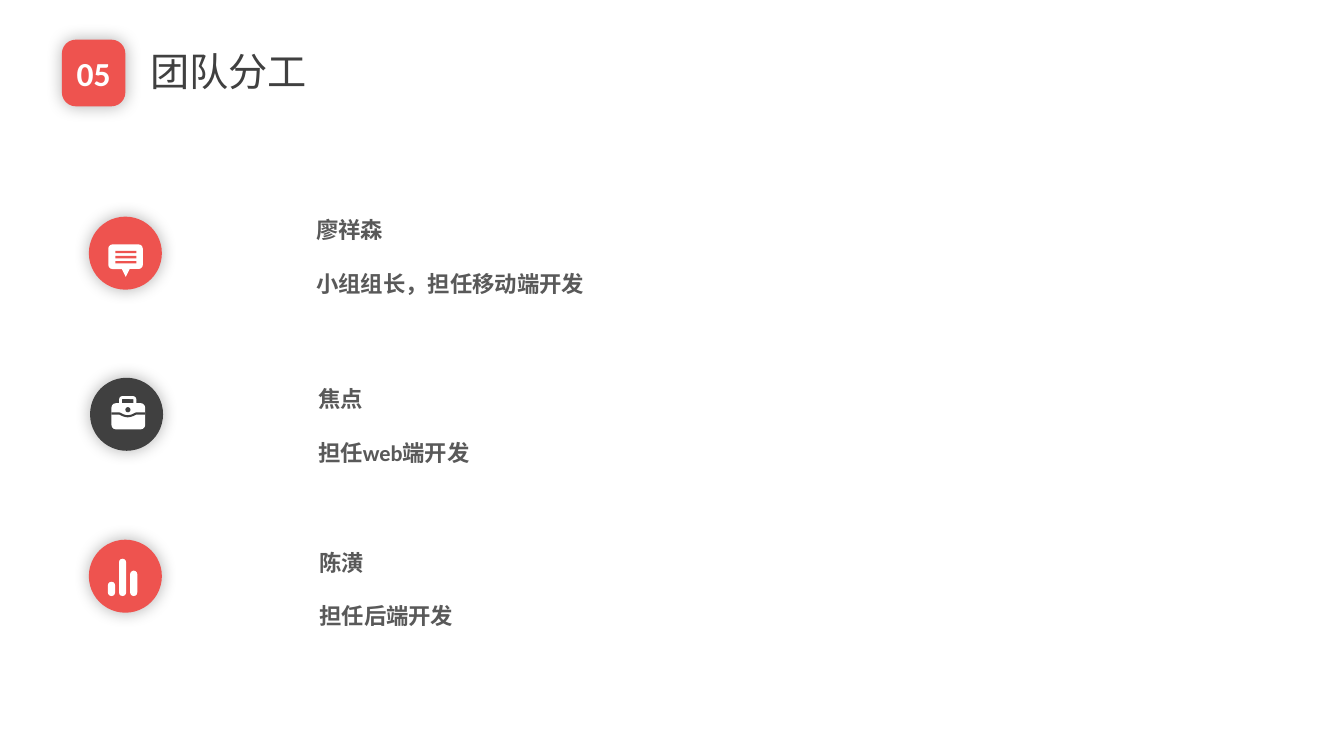
import math
from lxml import etree
from pptx import Presentation
from pptx import util as u
from pptx.dml import color
from pptx.enum import shapes, text
from pptx.oxml import ns

RED, DARK, GREY, WHITE = "EE534F", "404040", "595959", "FFFFFF"
KIND = shapes.MSO_SHAPE
DISC = 1.84


def rgb(value):
    return color.RGBColor.from_string(value)


def add_shape(slide, kind, box, fill):
    shape = slide.shapes.add_shape(kind, *(u.Cm(length) for length in box))
    shape.shadow.inherit = False
    shape.fill.solid()
    shape.fill.fore_color.rgb = rgb(fill)
    shape.line.fill.background()
    return shape


def add_glow(shape):
    effects = shape.element.spPr.find(ns.qn("a:effectLst"))
    shadow = etree.SubElement(effects, ns.qn("a:outerShdw"), blurRad=str(u.Pt(12)), dist="0",
                              algn="ctr", rotWithShape="0")
    tint = etree.SubElement(shadow, ns.qn("a:srgbClr"), val="000000")
    etree.SubElement(tint, ns.qn("a:alpha"), val="30000")


def write(shape, lines, size, fill, bold=False, spacing=None, align=None):
    frame = shape.text_frame
    frame.word_wrap = True
    for index, line in enumerate(lines):
        paragraph = frame.paragraphs[0] if index == 0 else frame.add_paragraph()
        paragraph.text = line
        paragraph.alignment = align
        paragraph.line_spacing = spacing
        paragraph.font.name = "Calibri"
        paragraph.font.size = u.Pt(size)
        paragraph.font.bold = bold
        paragraph.font.color.rgb = rgb(fill)
    return frame


def add_text(slide, box, lines, size, fill, **style):
    shape = slide.shapes.add_textbox(*(u.Cm(length) for length in box))
    return write(shape, lines, size, fill, **style)


def draw_speech(slide, left, top, fill):
    add_shape(slide, KIND.FLOWCHART_MERGE, (left + 0.82, top + 1.3, 0.22, 0.22), WHITE)
    add_shape(slide, KIND.ROUNDED_RECTANGLE, (left + 0.49, top + 0.7, 0.87, 0.62), WHITE)
    for row in range(3):
        add_shape(slide, KIND.RECTANGLE, (left + 0.67, top + 0.86 + 0.13 * row, 0.53, 0.06), fill)


def draw_briefcase(slide, left, top, fill):
    handle = add_shape(slide, KIND.ROUNDED_RECTANGLE, (left + 0.77, top + 0.5, 0.36, 0.25), WHITE)
    handle.fill.background()
    handle.line.color.rgb = rgb(WHITE)
    handle.line.width = u.Pt(2)
    add_shape(slide, KIND.ROUNDED_RECTANGLE, (left + 0.54, top + 0.64, 0.85, 0.66), WHITE)
    add_shape(slide, KIND.OVAL, (left + 0.89, top + 0.74, 0.13, 0.13), fill)
    points = [(left + 0.74 + 0.42 * step / 12,
               top + 0.9 + 0.07 * math.sin(math.pi * step / 12)) for step in range(13)]
    points.append((left + 1.39, top + 0.9))
    builder = slide.shapes.build_freeform(u.Cm(left + 0.54), u.Cm(top + 0.9))
    builder.add_line_segments([(u.Cm(x), u.Cm(y)) for x, y in points], close=False)
    seam = builder.convert_to_shape()
    seam.shadow.inherit = False
    seam.fill.background()
    seam.line.color.rgb = rgb(fill)
    seam.line.width = u.Pt(1.5)


def draw_bars(slide, left, top, fill):
    for column, height in enumerate((0.36, 0.94, 0.64)):
        box = (left + 0.48 + 0.28 * column, top + 1.42 - height, 0.18, height)
        bar = add_shape(slide, KIND.ROUNDED_RECTANGLE, box, WHITE)
        bar.adjustments[0] = 0.5


def add_heading(slide, left, top, number, title):
    badge = add_shape(slide, KIND.ROUNDED_RECTANGLE, (left, top, 1.6, 1.68), RED)
    badge.adjustments[0] = 0.22
    add_glow(badge)
    frame = write(badge, [number], 24, WHITE, bold=True, align=text.PP_ALIGN.CENTER)
    frame.margin_left = frame.margin_right = 0
    frame.vertical_anchor = text.MSO_ANCHOR.MIDDLE
    frame = add_text(slide, (left + 1.98, top - 0.1, 9.14, 1.78), [title], 28, DARK)
    frame.vertical_anchor = text.MSO_ANCHOR.MIDDLE


def add_member(slide, left, top, fill, draw_icon, text_left, text_top, lines):
    add_glow(add_shape(slide, KIND.OVAL, (left, top, DISC, DISC), fill))
    draw_icon(slide, left, top, fill)
    frame = add_text(slide, (text_left, text_top, 10.3, 3), lines, 16, GREY, bold=True, spacing=2.0)
    frame.auto_size = text.MSO_AUTO_SIZE.SHAPE_TO_FIT_TEXT


def main():
    presentation = Presentation()
    presentation.slide_width = u.Cm(33.87)
    presentation.slide_height = u.Cm(19.05)
    slide = presentation.slides.add_slide(presentation.slide_layouts[6])
    add_heading(slide, 1.56, 1, "05", "团队分工")
    members = (
        (2.24, 5.46, RED, draw_speech, 7.72, 4.65, ["廖祥森", "小组组长，担任移动端开发"]),
        (2.27, 9.52, DARK, draw_briefcase, 7.77, 8.9, ["焦点", "担任web端开发"]),
        (2.24, 13.6, RED, draw_bars, 7.8, 13.03, ["陈潢", "担任后端开发"]),
    )
    for member in members:
        add_member(slide, *member)
    presentation.save("out.pptx")


if __name__ == "__main__":
    main()
